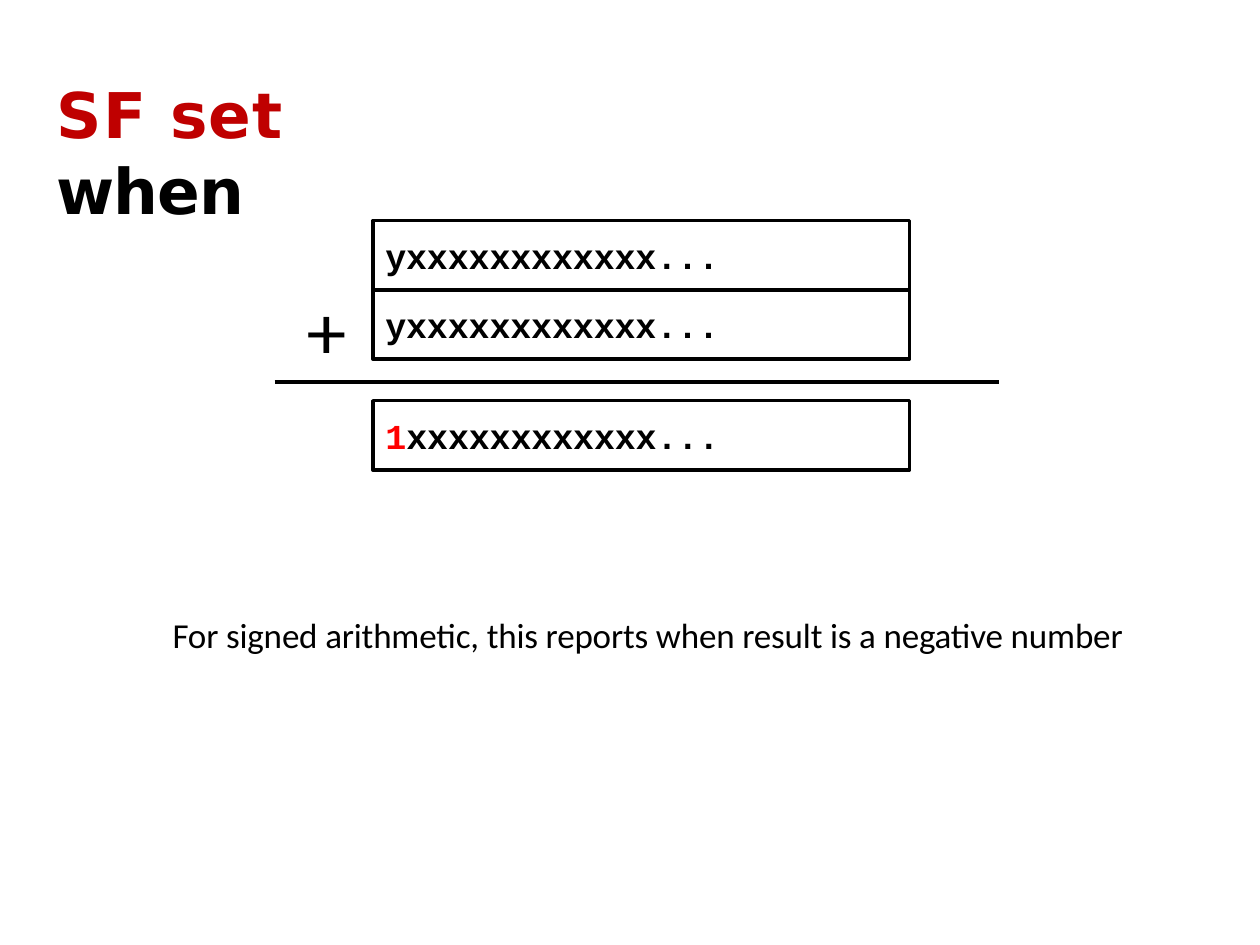
from dataclasses import dataclass

from lxml import etree
from pptx import Presentation
from pptx import util as u
from pptx.dml.color import RGBColor
from pptx.enum import shapes, text
from pptx.oxml.ns import qn


@dataclass(frozen=True)
class Theme:
    ink: str = "000000"
    title_red: str = "BF0000"
    bit_red: str = "FF0000"
    title_font: str = "DejaVu Sans"
    code_font: str = "Courier New"
    sign_font: str = "Karla"
    body_font: str = "Calibri"
    title_size: int = 36
    sign_size: int = 42
    body_size: int = 20
    line_width: int = 2


def add_run(p, content, font, size, color, bold=False, spacing=0):
    r = p.add_run()
    r.text = content
    r.font.name = font
    r.font.size = u.Pt(size)
    r.font.bold = bold
    r.font.color.rgb = RGBColor.from_string(color)
    # Letter spacing, in hundredths of a point
    r._r.get_or_add_rPr().set("spc", str(round(spacing * 100)))


class SlideBuilder:
    def __init__(self, prs, theme):
        self.t = theme
        self.s = prs.slides.add_slide(prs.slide_layouts[5])

    def frame(self, sp, left=0.01, top=0.01):
        tf = sp.text_frame
        tf.word_wrap = True
        tf.auto_size = text.MSO_AUTO_SIZE.NONE
        tf.vertical_anchor = text.MSO_ANCHOR.TOP
        tf.margin_left, tf.margin_top = u.Inches(left), u.Inches(top)
        tf.margin_right = tf.margin_bottom = 0
        p = tf.paragraphs[0]
        p.alignment = text.PP_ALIGN.LEFT
        return p

    def title(self, x, y, w, h, parts):
        sp = self.s.shapes.title
        sp.left, sp.top, sp.width, sp.height = map(u.Inches, (x, y, w, h))
        p = self.frame(sp)
        for content, color, spacing in parts:
            add_run(p, content, self.t.title_font, self.t.title_size, color,
                    bold=True, spacing=spacing)

    def label(self, x, y, w, h, content, font, size, spacing=0):
        sp = self.s.shapes.add_textbox(*map(u.Inches, (x, y, w, h)))
        add_run(self.frame(sp), content, font, size, self.t.ink, spacing=spacing)

    def register(self, x, y, w, h, sign_bit, sign_color):
        sp = self.s.shapes.add_shape(shapes.MSO_SHAPE.RECTANGLE,
                                     *map(u.Inches, (x, y, w, h)))
        sp.shadow.inherit = False
        sp.fill.background()
        self.stroke(sp)
        p = self.frame(sp, left=0.1, top=0.11)
        for content, color in ((sign_bit, sign_color),
                               ("x" * 12 + "...", self.t.ink)):
            add_run(p, content, self.t.code_font, self.t.body_size, color,
                    bold=True, spacing=-0.1)

    def rule(self, x1, x2, y):
        c = self.s.shapes.add_connector(shapes.MSO_CONNECTOR.STRAIGHT,
                                        *map(u.Inches, (x1, y, x2, y)))
        self.stroke(c)
        etree.SubElement(c._element.spPr, qn("a:effectLst"))

    def stroke(self, sp):
        sp.line.color.rgb = RGBColor.from_string(self.t.ink)
        sp.line.width = u.Pt(self.t.line_width)


def main():
    prs = Presentation()
    prs.slide_width, prs.slide_height = u.Inches(10), u.Inches(7.5)
    t = Theme()
    b = SlideBuilder(prs, t)

    b.title(0.44, 0.59, 3.46, 0.63, [("SF ", t.title_red, 0.7),
                                     ("set ", t.title_red, 0.4),
                                     ("when", t.ink, -0.5)])

    # Two operands, then the sum with its sign bit set
    for y, bit, color in ((1.75, "y", t.ink), (2.3, "y", t.ink),
                          (3.18, "1", t.bit_red)):
        b.register(2.96, y, 4.26, 0.55, bit, color)

    # Addition sign and sum line
    b.rule(2.18, 7.93, 3.03)
    b.label(2.43, 2.21, 0.52, 0.73, "+", t.sign_font, t.sign_size, spacing=4.6)

    # Explanation
    b.label(1.36, 4.86, 7.66, 0.36,
            "For signed arithmetic, this reports when result is a negative number",
            t.body_font, t.body_size, spacing=-0.1)

    prs.save("out.pptx")


if __name__ == "__main__":
    main()
